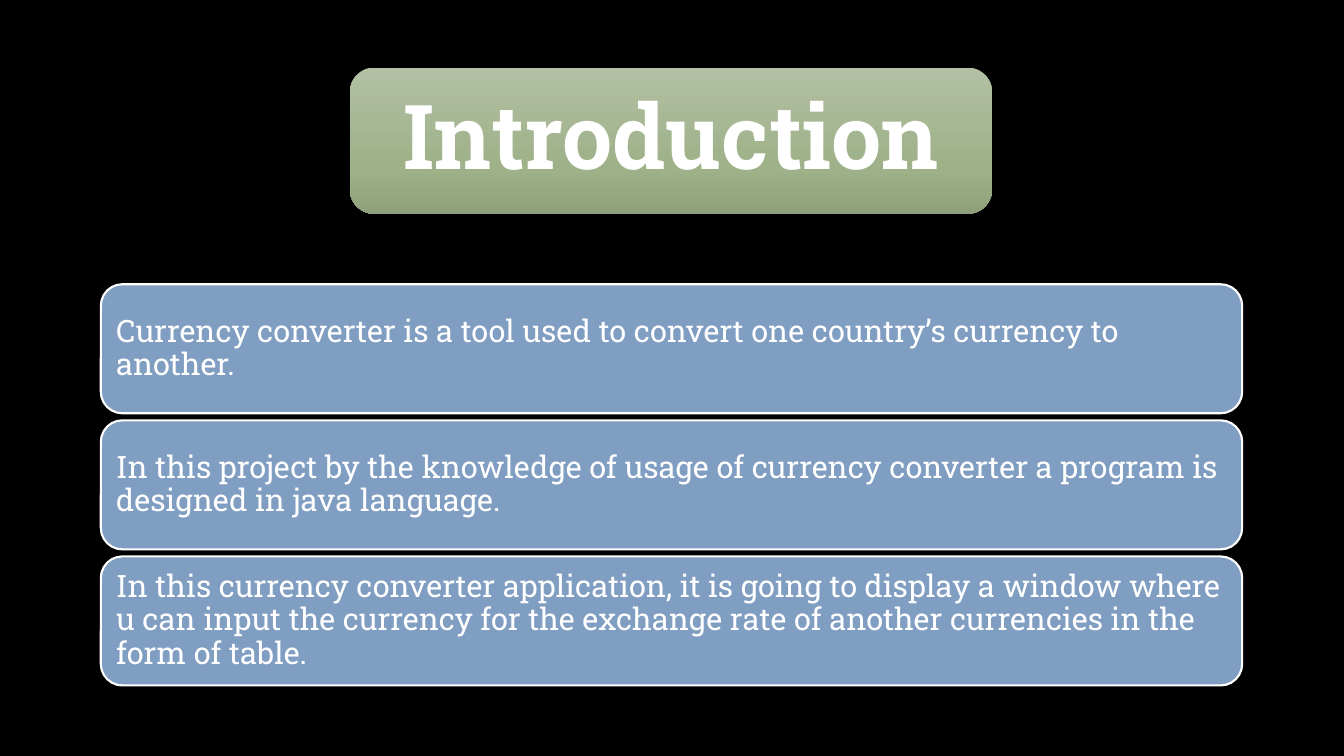
import copy
from dataclasses import dataclass

import pptx
import pptx.dml.color
import pptx.enum.shapes
import pptx.enum.text
import pptx.util

Inches = pptx.util.Inches
Align = pptx.enum.text.PP_ALIGN


def rgb(value):
    return pptx.dml.color.RGBColor.from_string(value)


@dataclass(frozen=True)
class Theme:
    font: str = "Roboto Slab"
    background: str = "000000"
    text: str = "FFFFFF"
    card: str = "809EC2"
    title_gradient: tuple = ((0, "B3C0A4"), (0.69, "9EB188"), (1, "8FA17A"))
    title_size: int = 64
    body_size: int = 22
    outline_width: float = 1.5
    line_spacing: float = 0.9


class SlideBuilder:
    def __init__(self, slide, theme):
        self.slide = slide
        self.theme = theme
        background = slide.background.fill
        background.solid()
        background.fore_color.rgb = rgb(theme.background)

    def rounded_box(self, left, top, width, height):
        shape = self.slide.shapes.add_shape(
            pptx.enum.shapes.MSO_SHAPE.ROUNDED_RECTANGLE,
            Inches(left), Inches(top), Inches(width), Inches(height))
        shape.shadow.inherit = False
        return shape

    def add_label(self, shape, text, size, alignment, margins, bold=False):
        """Fill the shape with one paragraph; margins are (horizontal, vertical) inches."""
        frame = shape.text_frame
        frame.word_wrap = True
        frame.vertical_anchor = pptx.enum.text.MSO_ANCHOR.MIDDLE
        frame.margin_left = frame.margin_right = Inches(margins[0])
        frame.margin_top = frame.margin_bottom = Inches(margins[1])
        paragraph = frame.paragraphs[0]
        paragraph.alignment = alignment
        paragraph.line_spacing = self.theme.line_spacing
        run = paragraph.add_run()
        run.text = text
        run.font.name = self.theme.font
        run.font.size = pptx.util.Pt(size)
        run.font.bold = bold
        run.font.color.rgb = rgb(self.theme.text)

    def title(self, text, left, top, width, height):
        shape = self.rounded_box(left, top, width, height)
        shape.line.fill.background()
        fill = shape.fill
        fill.gradient()
        fill.gradient_angle = 270  # counter-clockwise: top to bottom
        stop_list = fill._fill._gradFill.gsLst
        stop_list.append(copy.deepcopy(stop_list[-1]))
        for stop, (position, color) in zip(fill.gradient_stops, self.theme.title_gradient):
            stop.position = position
            stop.color.rgb = rgb(color)
        self.add_label(shape, text, self.theme.title_size, Align.CENTER, (0.27, 0.13), bold=True)

    def card(self, text, left, top, width, height):
        shape = self.rounded_box(left, top, width, height)
        shape.fill.solid()
        shape.fill.fore_color.rgb = rgb(self.theme.card)
        shape.line.color.rgb = rgb(self.theme.text)
        shape.line.width = pptx.util.Pt(self.theme.outline_width)
        self.add_label(shape, text, self.theme.body_size, Align.LEFT, (0.09, 0.09))


CARDS = (
    "Currency converter is a tool used to convert one country’s currency to another.",
    "In this project by the knowledge of usage of currency converter a program is "
    "designed in java language.",
    "In this currency converter application, it is going to display a window where u can "
    "input the currency for the exchange rate of another currencies in the form of table.",
)
FIRST_CARD_TOP = 2.82
CARD_PITCH = 1.35


def main():
    presentation = pptx.Presentation()
    presentation.slide_width = Inches(13.33)
    presentation.slide_height = Inches(7.5)
    slide = presentation.slides.add_slide(presentation.slide_layouts[6])
    builder = SlideBuilder(slide, Theme())
    builder.title("Introduction", 3.47, 0.67, 6.37, 1.45)
    for index, text in enumerate(CARDS):
        builder.card(text, 1, FIRST_CARD_TOP + index * CARD_PITCH, 11.32, 1.28)
    presentation.save("out.pptx")


if __name__ == "__main__":
    main()
